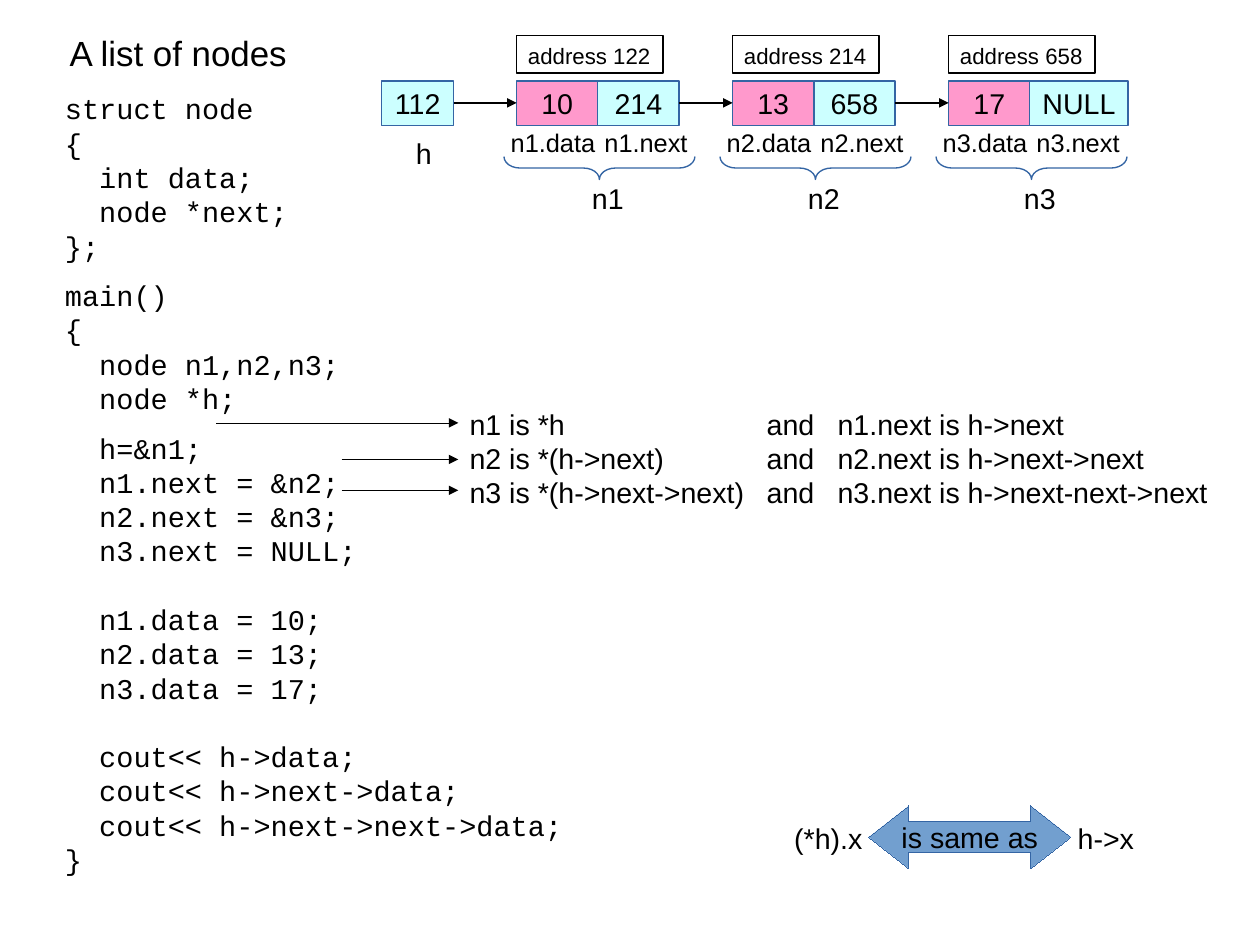
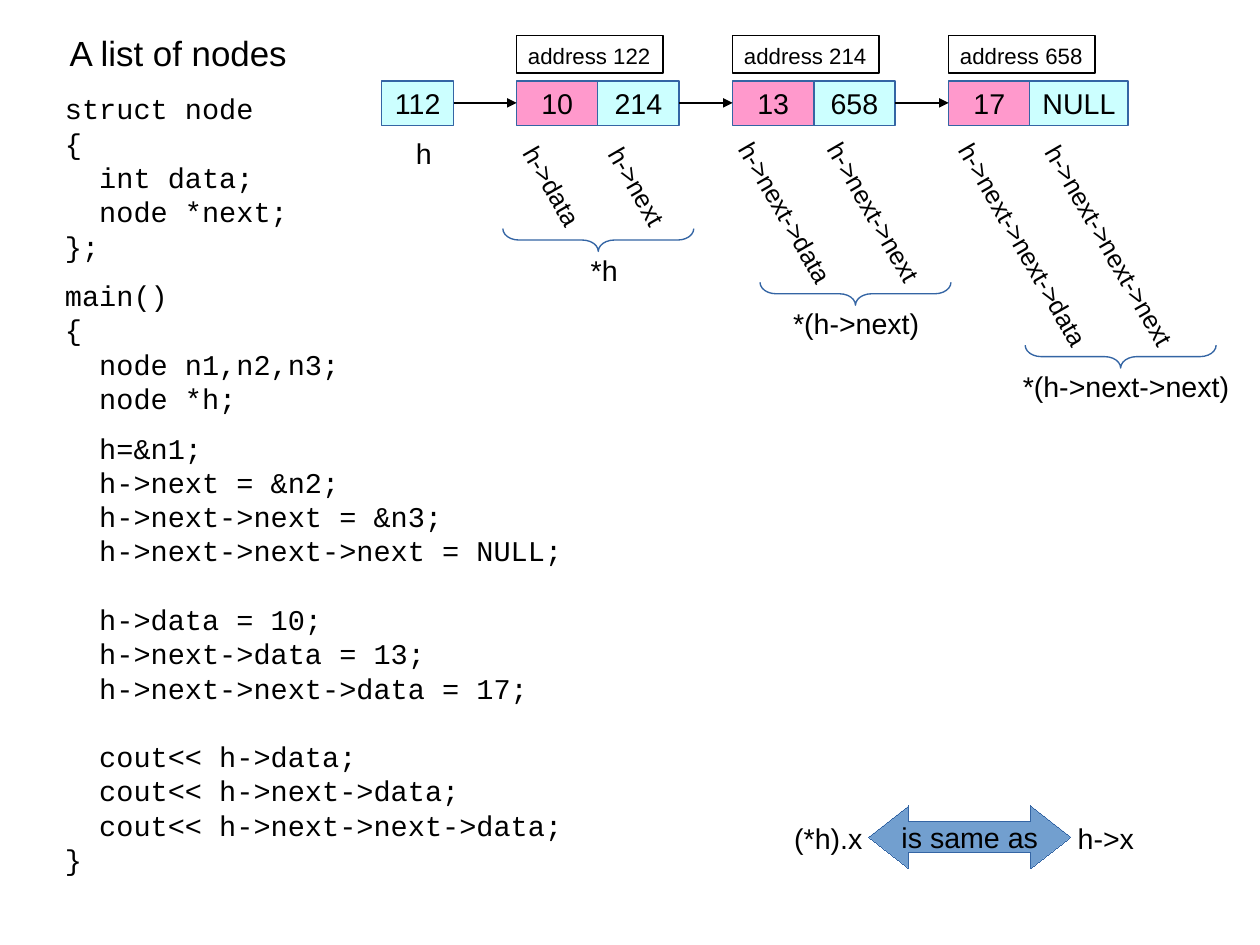
"""Build two slides that explain a linked list of nodes."""
from dataclasses import dataclass

from lxml.etree import SubElement
from pptx import Presentation
from pptx.dml.color import RGBColor
from pptx.enum.shapes import MSO_CONNECTOR as Connector, MSO_SHAPE as Preset
from pptx.enum.text import MSO_ANCHOR as Anchor, MSO_AUTO_SIZE as AutoSize, PP_ALIGN as Align
from pptx.oxml.ns import qn
from pptx.util import Cm, Inches, Pt


@dataclass(frozen=True)
class Theme:
    sans: str = "Arial"
    mono: str = "Courier New"
    ink: str = "000000"
    outline: str = "3465A4"
    data_fill: str = "FF99CC"
    pointer_fill: str = "CCFFFF"
    arrow_fill: str = "729FCF"
    title_size: int = 22
    body_size: int = 18
    label_size: int = 16
    address_size: int = 14
    line_pitch: float = 1.2
    stroke: float = 0.85
    hairline: float = 0.01


THEME = Theme()
TITLE = "A list of nodes"
STRUCT = ["struct node", "{", "  int data;", "  node *next;", "};"]
MAIN = ["main()", "{", "  node n1,n2,n3;", "  node *h;"]
PRINTS = ["  cout<< h->data;", "  cout<< h->next->data;", "  cout<< h->next->next->data;", "}"]
GROUP_GAPS = [0, 8, 8, 18, 18]

NODES = [("address 122", "10", "214", 0.71), ("address 214", "13", "658", 0.71),
         ("address 658", "17", "NULL", 0.86)]
FIRST_NODE, NODE_STEP, DATA_WIDTH = 4.52, 1.89, 0.71
HEAD_LEFT, HEAD_WIDTH = 3.34, 0.63
CELL_TOP, CELL_HEIGHT = 0.71, 0.39
CHAIN_Y = 0.9
BRACE_WIDTH, BRACE_DEPTH, TAG_DROP = 1.67, 0.2, 0.16

RELATIONS = ["n1 is *h\tand\tn1.next is h->next",
             "n2 is *(h->next)\tand\tn2.next is h->next->next",
             "n3 is *(h->next->next)\tand\tn3.next is h->next-next->next"]
RELATION_TABS = [2.6, 3.22]
RELATION_ARROWS = [(1.89, 3.7), (2.99, 4.02), (2.99, 4.29)]
RELATION_LEFT = 4.01

SLIDES = [
    {
        "links": ["  h=&n1;", "  n1.next = &n2;", "  n2.next = &n3;", "  n3.next = NULL;"],
        "values": ["  n1.data = 10;", "  n2.data = 13;", "  n3.data = 17;"],
        "angle": 0,
        "labels": [[(f"n{number}.data", -0.15, 1.06, 0.94), (f"n{number}.next", 0.67, 1.06, 0.93)]
                   for number in (1, 2, 3)],
        "braces": [(-0.11, 1.37)] * 3,
        "tags": [(f"n{number}", 0.56, 0.48) for number in (1, 2, 3)],
        "relations": RELATIONS,
    },
    {
        "links": ["  h=&n1;", "  h->next = &n2;", "  h->next->next = &n3;",
                  "  h->next->next->next = NULL;"],
        "values": ["  h->data = 10;", "  h->next->data = 13;", "  h->next->next->data = 17;"],
        "angle": 60,
        "labels": [[("h->data", -0.16, 1.45, 0.96), ("h->next", 0.59, 1.45, 0.94)],
                   [("h->next->data", -0.32, 1.68, 1.58), ("h->next->next", 0.46, 1.68, 1.57)],
                   [("h->next->next->data", -0.44, 1.96, 2.2),
                    ("h->next->next->next", 0.32, 1.97, 2.19)]],
        "braces": [(-0.12, 2), (0.24, 2.47), (0.67, 3.02)],
        "tags": [("*h", 0.55, 0.43), ("*(h->next)", 0.43, 1.3), ("*(h->next->next)", 0.55, 2)],
        "relations": [],
    },
]


def color(value):
    return RGBColor.from_string(value)


def write(shape, lines, size=THEME.body_size, font=THEME.sans, align=Align.LEFT,
          anchor=Anchor.TOP, wrap=False, pad=0.05):
    frame = shape.text_frame
    frame.text = "\n".join(lines)
    frame.word_wrap, frame.auto_size, frame.vertical_anchor = wrap, AutoSize.NONE, anchor
    frame.margin_left = frame.margin_right = Inches(0.1)
    frame.margin_top = frame.margin_bottom = Inches(pad)
    for paragraph in frame.paragraphs:
        paragraph.alignment = align
        paragraph.line_spacing = Pt(size * THEME.line_pitch)
        for run in paragraph.runs:
            run.font.name, run.font.size = font, Pt(size)
            run.font.color.rgb = color(THEME.ink)
    return frame.paragraphs


def add_text(slide, box, lines, **style):
    shape = slide.shapes.add_textbox(*map(Inches, box))
    return shape, write(shape, lines, **style)


def add_preset(slide, preset, box, fill=None, line=THEME.outline, width=THEME.stroke):
    shape = slide.shapes.add_shape(preset, *map(Inches, box))
    shape.shadow.inherit = False
    if fill:
        shape.fill.solid()
        shape.fill.fore_color.rgb = color(fill)
    else:
        shape.fill.background()
    shape.line.color.rgb, shape.line.width = color(line), Pt(width)
    return shape


def add_arrow(slide, start, end, y, width=THEME.stroke):
    connector = slide.shapes.add_connector(Connector.STRAIGHT, *map(Inches, (start, y, end, y)))
    connector.line.color.rgb, connector.line.width = color(THEME.ink), Pt(width)
    SubElement(connector.line._get_or_add_ln(), qn("a:tailEnd"), type="triangle")
    SubElement(connector._element.spPr, qn("a:effectLst"))


def add_cell(slide, left, width, text, fill):
    cell = add_preset(slide, Preset.RECTANGLE, (left, CELL_TOP, width, CELL_HEIGHT), fill)
    write(cell, [text], align=Align.CENTER, anchor=Anchor.MIDDLE, pad=0.06)


def add_title(slide):
    title = slide.shapes.title
    title.left, title.top, title.width, title.height = map(Inches, (0.51, 0.23, 5.38, 0.44))
    write(title, [TITLE], size=THEME.title_size, wrap=True)


def add_code(slide, groups):
    lines = [line for group in groups for line in group]
    gaps = [gap if index == 0 else 0
            for gap, group in zip(GROUP_GAPS, groups) for index in range(len(group))]
    box, paragraphs = add_text(slide, (0.47, 0.75, 5.6, 6.63), [line.strip() for line in lines],
                               font=THEME.mono, wrap=True)
    for paragraph, line, gap in zip(paragraphs, lines, gaps):
        indent = len(line) - len(line.lstrip())
        paragraph.space_before = Pt(gap * THEME.line_pitch)
        paragraph._p.get_or_add_pPr().set("marL", str(Pt(indent * 0.6 * THEME.body_size)))


def add_chain(slide, content):
    add_cell(slide, HEAD_LEFT, HEAD_WIDTH, "112", THEME.pointer_fill)
    add_text(slide, (3.54, 1.14, 0.34, 0.38), ["h"])
    previous_right = HEAD_LEFT + HEAD_WIDTH
    parts = zip(NODES, content["labels"], content["braces"], content["tags"])
    for index, (node, labels, brace_place, tag) in enumerate(parts):
        address, data, pointer, pointer_width = node
        left = FIRST_NODE + index * NODE_STEP
        add_cell(slide, left, DATA_WIDTH, data, THEME.data_fill)
        add_cell(slide, left + DATA_WIDTH, pointer_width, pointer, THEME.pointer_fill)
        address_box = add_preset(slide, Preset.RECTANGLE, (left, 0.31, 1.28, 0.33), line=THEME.ink)
        write(address_box, [address], size=THEME.address_size, pad=0.06)
        add_arrow(slide, previous_right, left, CHAIN_Y)
        previous_right = left + DATA_WIDTH + pointer_width
        for text, offset, top, width in labels:
            label, _ = add_text(slide, (left + offset, top, width, 0.35), [text],
                                size=THEME.label_size)
            label.rotation = content["angle"]
        add_brace(slide, left + brace_place[0], brace_place[1])
        text, offset, width = tag
        add_text(slide, (left + offset, brace_place[1] + TAG_DROP, width, 0.38), [text])


def add_brace(slide, left, top):
    shift = (BRACE_WIDTH - BRACE_DEPTH) / 2
    brace = add_preset(slide, Preset.LEFT_BRACE, (left + shift, top - shift, BRACE_DEPTH, BRACE_WIDTH))
    brace.rotation = 270
    brace.adjustments[0] = 0.7


def add_relations(slide, lines):
    _, paragraphs = add_text(slide, (RELATION_LEFT, 3.51, 6.67, 0.94), lines)
    for paragraph in paragraphs:
        tabs = SubElement(paragraph._p.get_or_add_pPr(), qn("a:tabLst"))
        for position in RELATION_TABS:
            SubElement(tabs, qn("a:tab"), pos=str(Inches(position)), algn="l")
    for start, y in RELATION_ARROWS:
        add_arrow(slide, start, RELATION_LEFT, y, THEME.hairline)


def add_equivalence(slide):
    add_text(slide, (6.85, 7.13, 0.79, 0.38), ["(*h).x"])
    add_text(slide, (9.33, 7.13, 0.69, 0.38), ["h->x"])
    arrow = add_preset(slide, Preset.LEFT_RIGHT_ARROW, (7.6, 7.05, 1.77, 0.55),
                       THEME.arrow_fill, width=THEME.hairline)
    arrow.adjustments[0], arrow.adjustments[1] = 0.5, 0.64
    write(arrow, ["is same as"], align=Align.CENTER, anchor=Anchor.MIDDLE)


def main():
    presentation = Presentation()
    presentation.slide_width, presentation.slide_height = Cm(28), Cm(21)
    for content in SLIDES:
        slide = presentation.slides.add_slide(presentation.slide_layouts[5])
        add_title(slide)
        add_code(slide, [STRUCT, MAIN, content["links"], content["values"], PRINTS])
        add_chain(slide, content)
        if content["relations"]:
            add_relations(slide, content["relations"])
        add_equivalence(slide)
    presentation.save("out.pptx")


if __name__ == "__main__":
    main()
